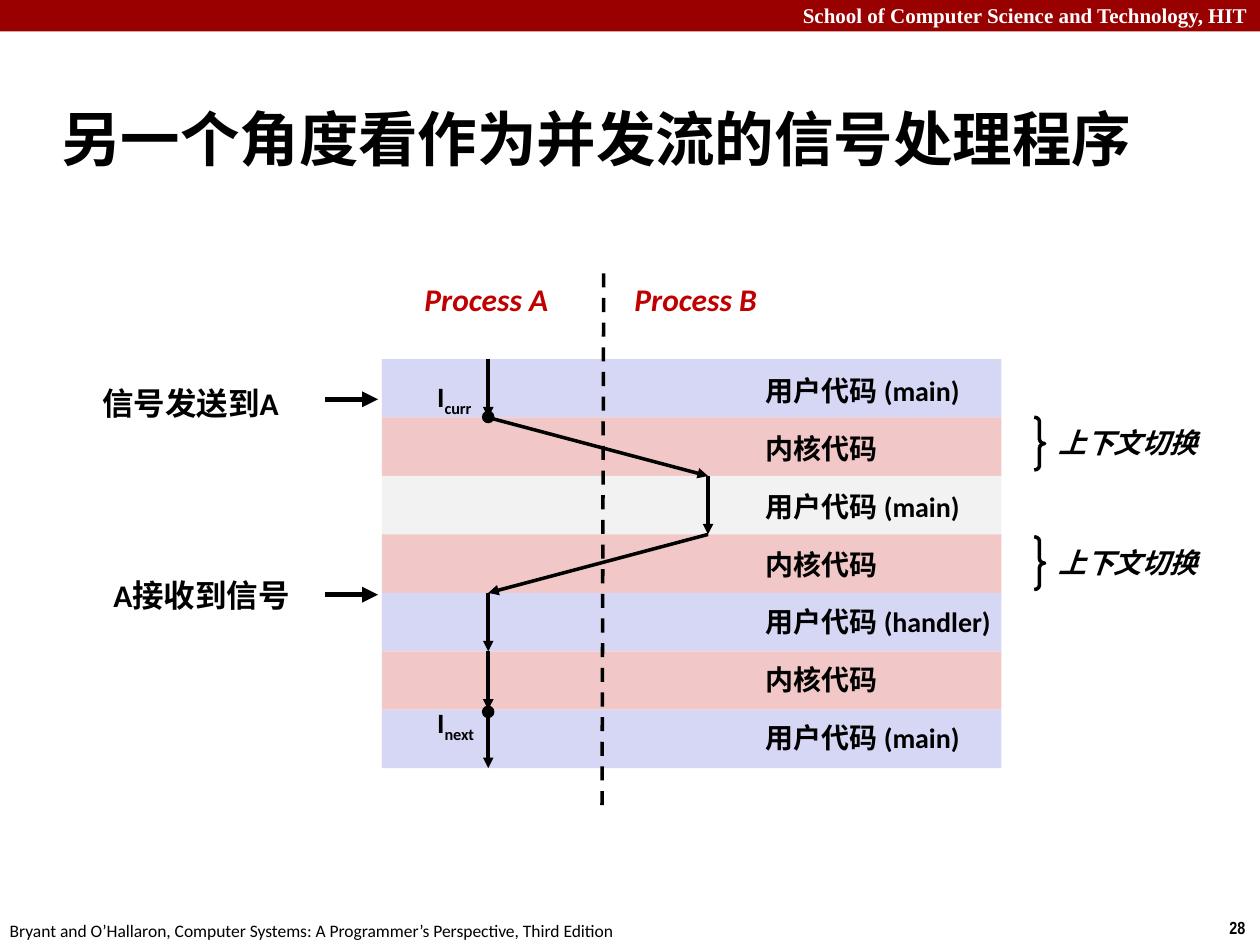
import pptx
import pptx.dml.color
import pptx.enum.dml
import pptx.enum.shapes
import pptx.enum.text
import pptx.oxml
import pptx.oxml.ns
import pptx.util

Pt = pptx.util.Pt
RGBColor = pptx.dml.color.RGBColor
SHAPE = pptx.enum.shapes.MSO_SHAPE
ALIGN = pptx.enum.text.PP_ALIGN
ANCHOR = pptx.enum.text.MSO_ANCHOR

BLACK = RGBColor(0x00, 0x00, 0x00)
WHITE = RGBColor(0xFF, 0xFF, 0xFF)
BANNER_RED = RGBColor(0x99, 0x00, 0x00)
PROCESS_RED = RGBColor(0xC0, 0x00, 0x00)
KERNEL_PINK = RGBColor(0xF1, 0xC7, 0xC7)
USER_BLUE = RGBColor(0xD6, 0xD6, 0xF5)
OTHER_GREY = RGBColor(0xF2, 0xF2, 0xF2)


class Diagram:
    """Draws styled elements on the current slide, with lengths in points."""

    font = "Calibri"
    ink = BLACK
    stroke = 2

    def __init__(self, slide):
        self.slide = slide

    def shape(self, kind, left, top, width, height, fill=None, line=None):
        outline = self.slide.shapes.add_shape(kind, Pt(left), Pt(top), Pt(width), Pt(height))
        outline.shadow.inherit = False
        if fill is None:
            outline.fill.background()
        else:
            outline.fill.solid()
            outline.fill.fore_color.rgb = fill
        if line is None:
            outline.line.fill.background()
        else:
            outline.line.color.rgb = line
            outline.line.width = Pt(self.stroke)
        return outline

    def dot(self, x, y, diameter=7.2):
        self.shape(SHAPE.OVAL, x - diameter / 2, y - diameter / 2, diameter, diameter, fill=self.ink)

    def brace(self, left, top):
        bracket = self.shape(SHAPE.RIGHT_BRACE, left, top, 6, 30.2, line=self.ink)
        bracket.adjustments[0] = 0.417

    def line(self, start, end, width=stroke, arrow=True, dash=None):
        link = self.slide.shapes.add_connector(
            pptx.enum.shapes.MSO_CONNECTOR.STRAIGHT, *map(Pt, (*start, *end)))
        link.line.color.rgb = self.ink
        link.line.width = Pt(width)
        if dash is not None:
            link.line.dash_style = dash
        properties = link._element.spPr
        if arrow:
            head = pptx.oxml.parse_xml(f'<a:tailEnd {pptx.oxml.ns.nsdecls("a")} type="triangle"/>')
            properties.get_or_add_ln().append(head)
        properties.append(pptx.oxml.parse_xml(f'<a:effectLst {pptx.oxml.ns.nsdecls("a")}/>'))

    def text(self, words, left, top, width, height, size=16, font=font, color=ink, bold=True,
             italic=False, wrap=False, grow=True, align=ALIGN.LEFT, anchor=ANCHOR.TOP,
             inset=None, subscript=None):
        frame = self.slide.shapes.add_textbox(Pt(left), Pt(top), Pt(width), Pt(height)).text_frame
        frame.word_wrap = wrap
        frame.vertical_anchor = anchor
        if grow:
            frame.auto_size = pptx.enum.text.MSO_AUTO_SIZE.SHAPE_TO_FIT_TEXT
        if inset is not None:
            frame.margin_left = frame.margin_right = Pt(inset)
            frame.margin_top = frame.margin_bottom = Pt(inset)
        paragraph = frame.paragraphs[0]
        paragraph.alignment = align
        for part in filter(None, (words, subscript)):
            run = paragraph.add_run()
            run.text = part
            run.font.name = font
            run.font.size = Pt(size)
            run.font.bold = bold
            run.font.italic = italic
            run.font.color.rgb = color
            if part == subscript:
                run._r.get_or_add_rPr().set("baseline", "-25000")


def draw_frame(diagram):
    diagram.shape(SHAPE.RECTANGLE, 0, 0, 720, 18, fill=BANNER_RED)
    diagram.text("School of Computer Science and Technology, HIT", 0, -2, 720, 21.6, size=12,
                 font="Times New Roman", color=WHITE, wrap=True, align=ALIGN.RIGHT)
    diagram.text("28", 695.5, 520.5, 24.5, 19.4, size=10, font="Arial Narrow")
    diagram.text("Bryant and O’Hallaron, Computer Systems: A Programmer’s Perspective, Third Edition",
                 -1.5, 522, 366, 19.4, size=10, bold=False)
    diagram.text("另一个角度看作为并发流的信号处理程序", 28, 48.5, 662, 60, size=34,
                 wrap=True, grow=False, anchor=ANCHOR.MIDDLE)


def draw_signal_flow(diagram):
    top, pitch = 205.2, 33.4
    label_top, label_pitch = 210.2, 33
    column_x = {"A": 279, "B": 404.6}
    main_code, handler_code, kernel_code = "用户代码 (main)", "用户代码 (handler)", "内核代码"
    label_width = {main_code: 132, handler_code: 152, kernel_code: 80}
    bands = [
        (main_code, USER_BLUE),
        (kernel_code, KERNEL_PINK),
        (main_code, OTHER_GREY),
        (kernel_code, KERNEL_PINK),
        (handler_code, USER_BLUE),
        (kernel_code, KERNEL_PINK),
        (main_code, USER_BLUE),
    ]
    for row, (code, tint) in enumerate(bands):
        diagram.shape(SHAPE.RECTANGLE, 218.2, top + row * pitch, 354, pitch, fill=tint)
        diagram.text(code, 430.5, label_top + row * label_pitch, label_width[code], 26.6)

    for process, left in (("Process A", 235.5), ("Process B", 355.5)):
        diagram.text(process, left, 156.2, 86, 29, size=18, color=PROCESS_RED, italic=True)
    diagram.line((345, 156.2), (344, 466), arrow=False,
                 dash=pptx.enum.dml.MSO_LINE.DASH)

    flow = [(column_x[process], top + step * pitch) for step, process in enumerate("AABBAAAA")]
    for start, end in zip(flow, flow[1:]):
        diagram.line(start, end)

    for event, left, event_top, width, arrow_y in (
            ("信号发送到A", 54.7, 216, 132, 228.2), ("A接收到信号", 61.2, 325.4, 109.4, 339.8)):
        diagram.text(event, left, event_top, width, 29, size=18, wrap=True, inset=3.6)
        diagram.line((185.8, arrow_y), (216, arrow_y), width=3)

    for switch_top in (238.4, 306.7):
        diagram.brace(591, switch_top)
        diagram.text("上下文切换", 597.6, switch_top + 1.4, 96, 26.6, italic=True)

    for instruction, label_y, dot_y in (("curr", 213.1, 238.3), ("next", 399.6, 406.8)):
        diagram.text("I", 246.2, label_y, 31, 26.6, inset=3.6, subscript=instruction)
        diagram.dot(column_x["A"], dot_y)


def main():
    deck = pptx.Presentation()
    deck.slide_width, deck.slide_height = Pt(720), Pt(540)
    diagram = Diagram(deck.slides.add_slide(deck.slide_layouts[6]))
    draw_frame(diagram)
    draw_signal_flow(diagram)
    deck.save("out.pptx")


if __name__ == "__main__":
    main()
